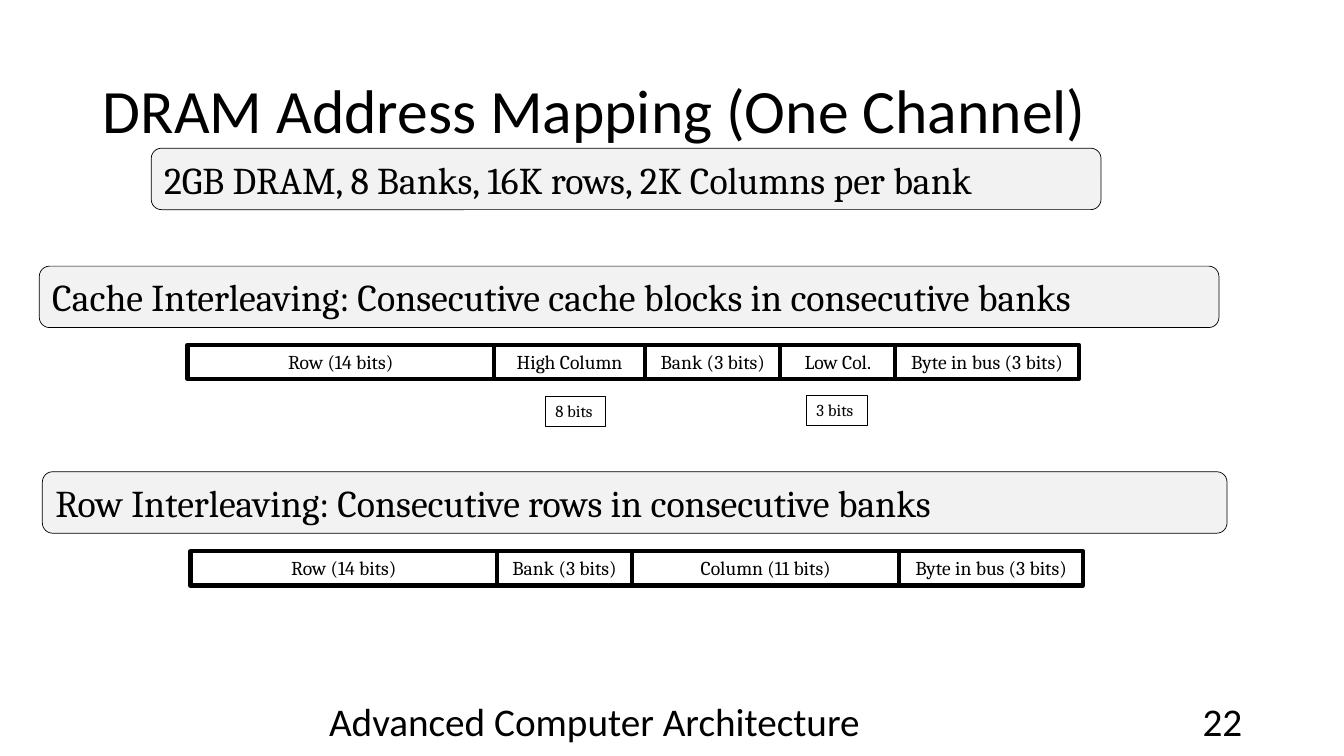
from dataclasses import dataclass

from pptx import Presentation
from pptx.dml.color import RGBColor
from pptx.enum.shapes import MSO_SHAPE
from pptx.enum.text import MSO_ANCHOR, MSO_AUTO_SIZE, PP_ALIGN
from pptx.util import Inches, Pt

LEFT, CENTER, RIGHT = PP_ALIGN.LEFT, PP_ALIGN.CENTER, PP_ALIGN.RIGHT
TOP, MIDDLE = MSO_ANCHOR.TOP, MSO_ANCHOR.MIDDLE
RECTANGLE, ROUNDED = MSO_SHAPE.RECTANGLE, MSO_SHAPE.ROUNDED_RECTANGLE
NO_FIT, GROW = MSO_AUTO_SIZE.NONE, MSO_AUTO_SIZE.SHAPE_TO_FIT_TEXT
TITLE_ONLY = 5


@dataclass
class Theme:
    heading_font: str = "Calibri"
    body_font: str = "Cambria"
    ink: RGBColor = RGBColor(0, 0, 0)
    banner_fill: RGBColor = RGBColor(0xF2, 0xF2, 0xF2)
    title_size: float = 44
    footer_size: float = 28
    banner_size: float = 27
    field_size: float = 14
    note_size: float = 12


def write_text(shape, text, *, font, size, color, align=LEFT, anchor=TOP,
               wrap=True, fit=NO_FIT, line_spacing=None):
    frame = shape.text_frame
    frame.word_wrap = wrap
    frame.auto_size = fit
    frame.vertical_anchor = anchor
    para = frame.paragraphs[0]
    para.alignment = align
    para.line_spacing = line_spacing
    span = para.add_run()
    span.text = text
    span.font.name = font
    span.font.size = Pt(size)
    span.font.color.rgb = color


class SlideBuilder:
    def __init__(self, page, theme):
        self.page = page
        self.theme = theme

    def title(self, text, left, top, width, height):
        box = self.page.shapes.title
        box.left, box.top = Inches(left), Inches(top)
        box.width, box.height = Inches(width), Inches(height)
        write_text(box, text, font=self.theme.heading_font,
                   size=self.theme.title_size, color=self.theme.ink,
                   anchor=MIDDLE, line_spacing=0.9)

    def footer(self, text, left, width, align):
        box = self.page.shapes.add_textbox(
            Inches(left), Inches(6.95), Inches(width), Inches(0.4))
        write_text(box, text, font=self.theme.heading_font,
                   size=self.theme.footer_size, color=self.theme.ink,
                   align=align, anchor=MIDDLE)

    def outlined_box(self, kind, left, top, width, height, line_width):
        box = self.page.shapes.add_shape(
            kind, Inches(left), Inches(top), Inches(width), Inches(height))
        box.shadow.inherit = False
        box.fill.background()
        box.line.color.rgb = self.theme.ink
        box.line.width = Pt(line_width)
        return box

    def banner(self, text, left, top, width):
        box = self.outlined_box(ROUNDED, left, top, width, 0.61, 0.5)
        box.fill.solid()
        box.fill.fore_color.rgb = self.theme.banner_fill
        write_text(box, text, font=self.theme.body_font,
                   size=self.theme.banner_size, color=self.theme.ink,
                   anchor=MIDDLE)

    def address_bar(self, left, top, fields):
        """Lay the address fields side by side from the left edge."""
        for text, width in fields:
            box = self.outlined_box(RECTANGLE, left, top, width, 0.34, 3)
            write_text(box, text, font=self.theme.body_font,
                       size=self.theme.field_size, color=self.theme.ink,
                       align=CENTER, fit=GROW)
            left += width

    def bit_note(self, text, left, top):
        box = self.outlined_box(RECTANGLE, left, top, 0.6, 0.3, 0.75)
        write_text(box, text, font=self.theme.body_font,
                   size=self.theme.note_size, color=self.theme.ink,
                   wrap=False, fit=GROW)


def main():
    deck = Presentation()
    deck.slide_width, deck.slide_height = Inches(13.33), Inches(7.5)
    page = deck.slides.add_slide(deck.slide_layouts[TITLE_ONLY])
    builder = SlideBuilder(page, Theme())

    # Title and memory size
    builder.title("DRAM Address Mapping (One Channel)", 0.92, 0.4, 11.5, 1.45)
    builder.banner("2GB DRAM, 8 Banks, 16K rows, 2K Columns per bank",
                   1.5, 1.47, 9.42)

    # Fields shared by both mappings
    row = ("Row (14 bits)", 3.04)
    bank = ("Bank (3 bits)", 1.34)
    byte = ("Byte in bus (3 bits)", 1.82)

    # Cache interleaving
    builder.banner("Cache Interleaving: Consecutive cache blocks in "
                   "consecutive banks", 0.39, 2.64, 11.7)
    builder.address_bar(1.86, 3.42, [
        row, ("High Column", 1.5), bank, ("Low Col.", 1.14), byte])
    builder.bit_note("8 bits", 5.41, 3.93)
    builder.bit_note("3 bits", 8, 3.92)

    # Row interleaving
    builder.banner("Row Interleaving: Consecutive rows in consecutive banks",
                   0.42, 4.68, 11.75)
    builder.address_bar(1.89, 5.47, [
        row, bank, ("Column (11 bits)", 2.65), byte])

    # Footer
    builder.footer("Advanced Computer Architecture", 2.87, 6.05, CENTER)
    builder.footer("22", 9.42, 3, RIGHT)

    deck.save("out.pptx")


if __name__ == "__main__":
    main()
